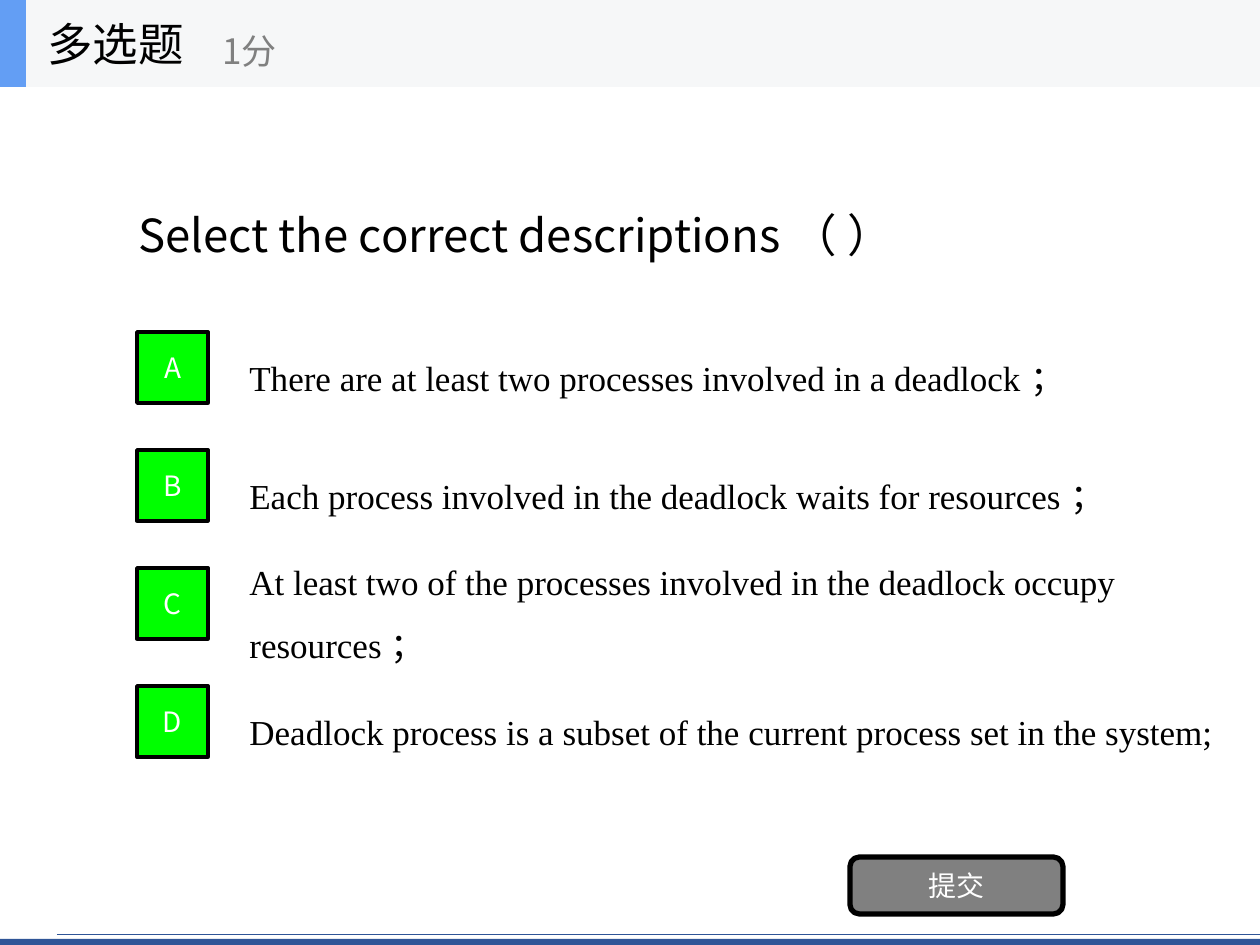
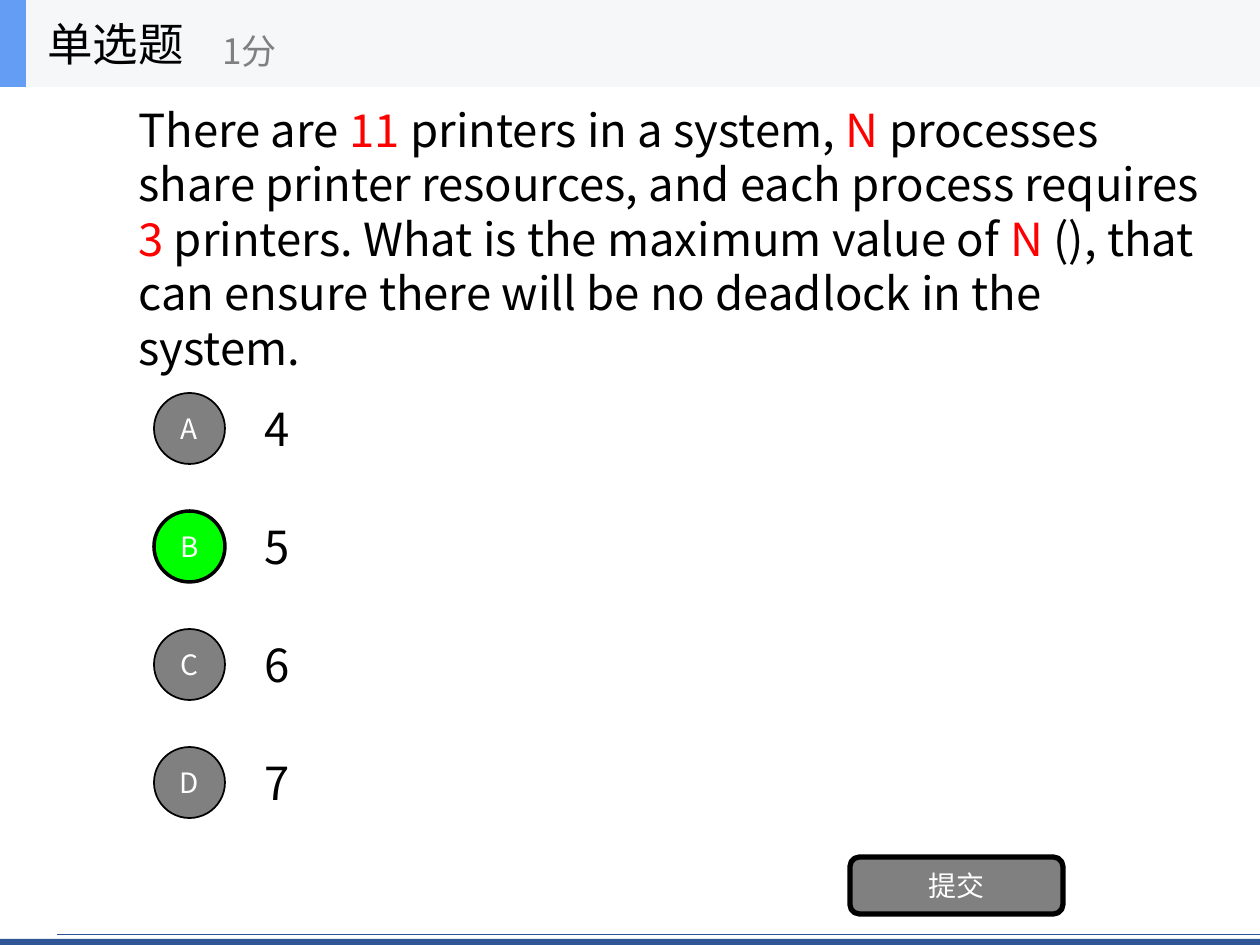
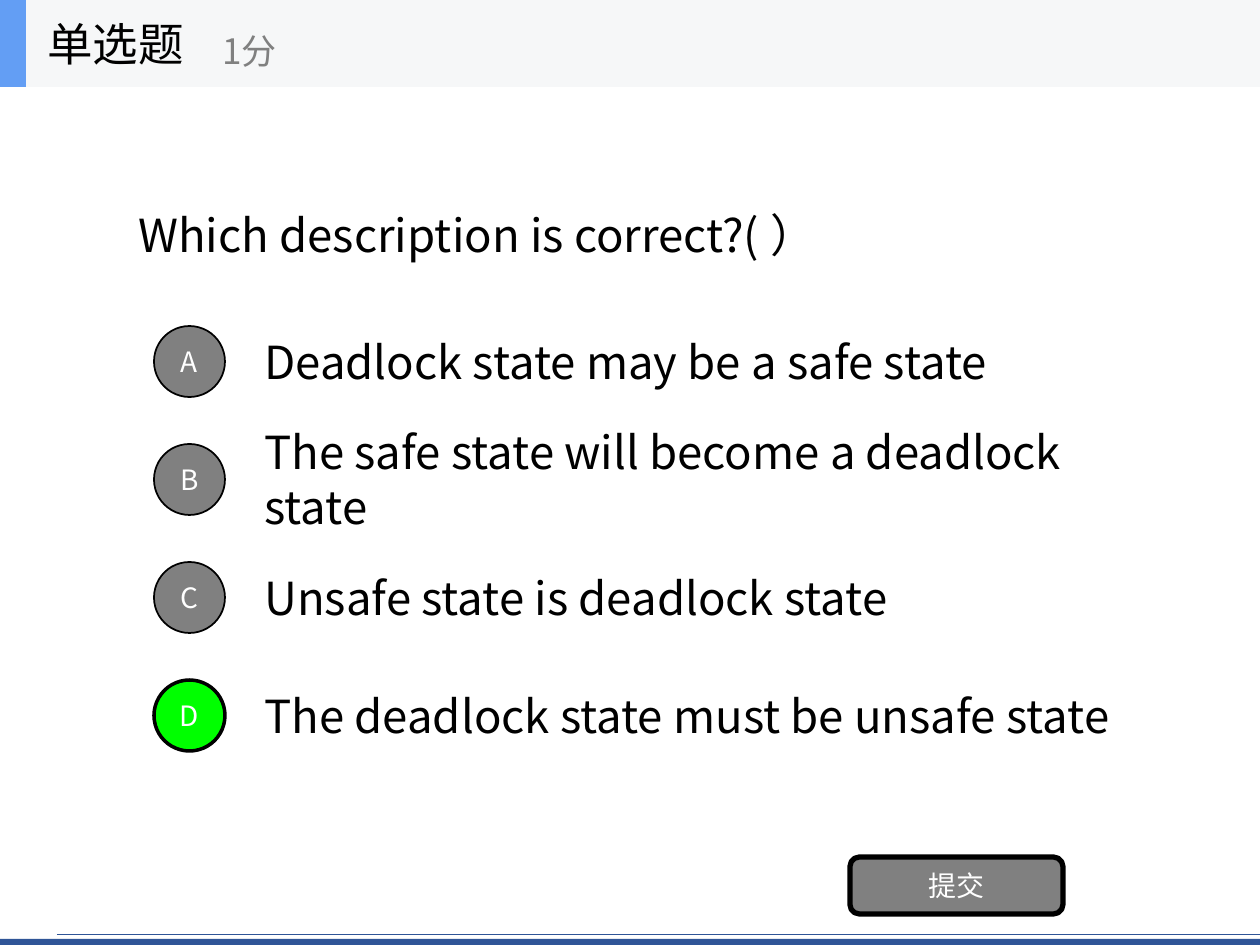
from lxml import etree
from pptx import Presentation
from pptx.dml.color import RGBColor
from pptx.enum import shapes, text
from pptx.oxml import ns
from pptx.util import Emu, Pt

PX = 914400 / 126
SANS, SERIF = "Noto Sans CJK SC", "Times New Roman"
BLACK, WHITE, GRAY = "000000", "FFFFFF", "808080"
GREEN, RED, NAVY = "00FF00", "FF0000", "2F5597"
BAND, ACCENT = "F6F7F8", "639EF4"
RECT = shapes.MSO_SHAPE.RECTANGLE
OVAL = shapes.MSO_SHAPE.OVAL
ROUNDED = shapes.MSO_SHAPE.ROUNDED_RECTANGLE
PITCH = 118


def rgb(value):
    return RGBColor.from_string(value)


def put(s, box, parts=(), kind=None, fill=None, line=None, weight=1,
        size=26, color=BLACK, font=SANS, spacing=None):
    x, y, w, h = [Emu(round(v * PX)) for v in box]
    if kind is None:
        sp = s.shapes.add_textbox(x, y, w, h)
    else:
        sp = s.shapes.add_shape(kind, x, y, w, h)
        sp.shadow.inherit = False
        sp.fill.solid()
        sp.fill.fore_color.rgb = rgb(fill)
        if line:
            sp.line.color.rgb = rgb(line)
            sp.line.width = Pt(weight)
        else:
            sp.line.fill.background()
    tf = sp.text_frame
    tf.word_wrap = True
    tf.vertical_anchor = text.MSO_ANCHOR.MIDDLE
    p = tf.paragraphs[0]
    p.alignment = text.PP_ALIGN.CENTER if kind else text.PP_ALIGN.LEFT
    if spacing:
        p.line_spacing = spacing
    for i, part in enumerate([parts] if isinstance(parts, str) else parts):
        r = p.add_run()
        r.text = part
        r.font.size = Pt(size)
        r.font.name = font
        r.font.color.rgb = rgb(RED if i % 2 else color)
        etree.SubElement(r.font._element, ns.qn("a:ea"), typeface=SANS)


questions = [
    dict(
        title="多选题",
        prompt="Select the correct descriptions （ ）",
        prompt_size=(1008, 295),
        marker=RECT, marker_x=137, option_x=237, top=323,
        widths=[882, 882, 956, 1023],
        style=dict(size=20, font=SERIF, spacing=1.5),
        correct="ABCD",
        options=[
            "There are at least two processes involved in a deadlock ；",
            "Each process involved in the deadlock waits for resources ；",
            "At least two of the processes involved in the deadlock occupy resources ；",
            "Deadlock process is a subset of the current process set in the system;",
        ],
    ),
    dict(
        title="单选题",
        prompt=[
            "There are ", "11", " printers in a system, ", "N",
            " processes share printer resources, and each process requires ", "3",
            " printers. What is the maximum value of ", "N",
            " (), that can ensure there will be no deadlock in the system.",
        ],
        prompt_size=(1099, 302),
        marker=OVAL, marker_x=154, option_x=252, top=384,
        widths=[882] * 4,
        style={},
        correct="B",
        options=["4", "5", "6", "7"],
    ),
    dict(
        title="单选题",
        prompt="Which description is correct?( ）",
        prompt_size=(1008, 295),
        marker=OVAL, marker_x=154, option_x=252, top=317,
        widths=[882] * 4,
        style={},
        correct="D",
        options=[
            "Deadlock state may be a safe state",
            "The safe state will become a deadlock state",
            "Unsafe state is deadlock state",
            "The deadlock state must be unsafe state",
        ],
    ),
]

prs = Presentation()
prs.slide_width = Emu(round(1260 * PX))
prs.slide_height = Emu(round(945 * PX))

for q in questions:
    s = prs.slides.add_slide(prs.slide_layouts[6])

    put(s, (0, 939, 1260, 6), kind=RECT, fill=NAVY)
    rule = s.shapes.add_connector(
        shapes.MSO_CONNECTOR.STRAIGHT,
        *[Emu(round(v * PX)) for v in (57, 934, 1260, 934)])
    rule.line.color.rgb = rgb(NAVY)
    rule.line.width = Pt(0.5)
    etree.SubElement(rule._element.spPr, ns.qn("a:effectLst"))

    put(s, (126, 87, *q["prompt_size"]), q["prompt"])
    for i, (letter, option, width) in enumerate(zip("ABCD", q["options"], q["widths"])):
        y = q["top"] + i * PITCH
        right = letter in q["correct"]
        put(s, (q["option_x"], y, width, 88), option, **q["style"])
        put(s, (q["marker_x"], y + 9, 71, 71), letter, kind=q["marker"],
            fill=GREEN if right else GRAY, line=BLACK, weight=2 if right else 1,
            size=16, color=WHITE)
    put(s, (850, 857, 213, 57), "提交", kind=ROUNDED, fill=GRAY,
        line=BLACK, weight=3, size=16, color=WHITE)

    put(s, (0, 0, 1260, 87), kind=RECT, fill=BAND)
    put(s, (0, 0, 26, 87), kind=RECT, fill=ACCENT)
    put(s, (35, 0, 262, 87), q["title"])
    put(s, (210, 15, 315, 71), "1分", size=20, color=GRAY)

prs.save("out.pptx")
